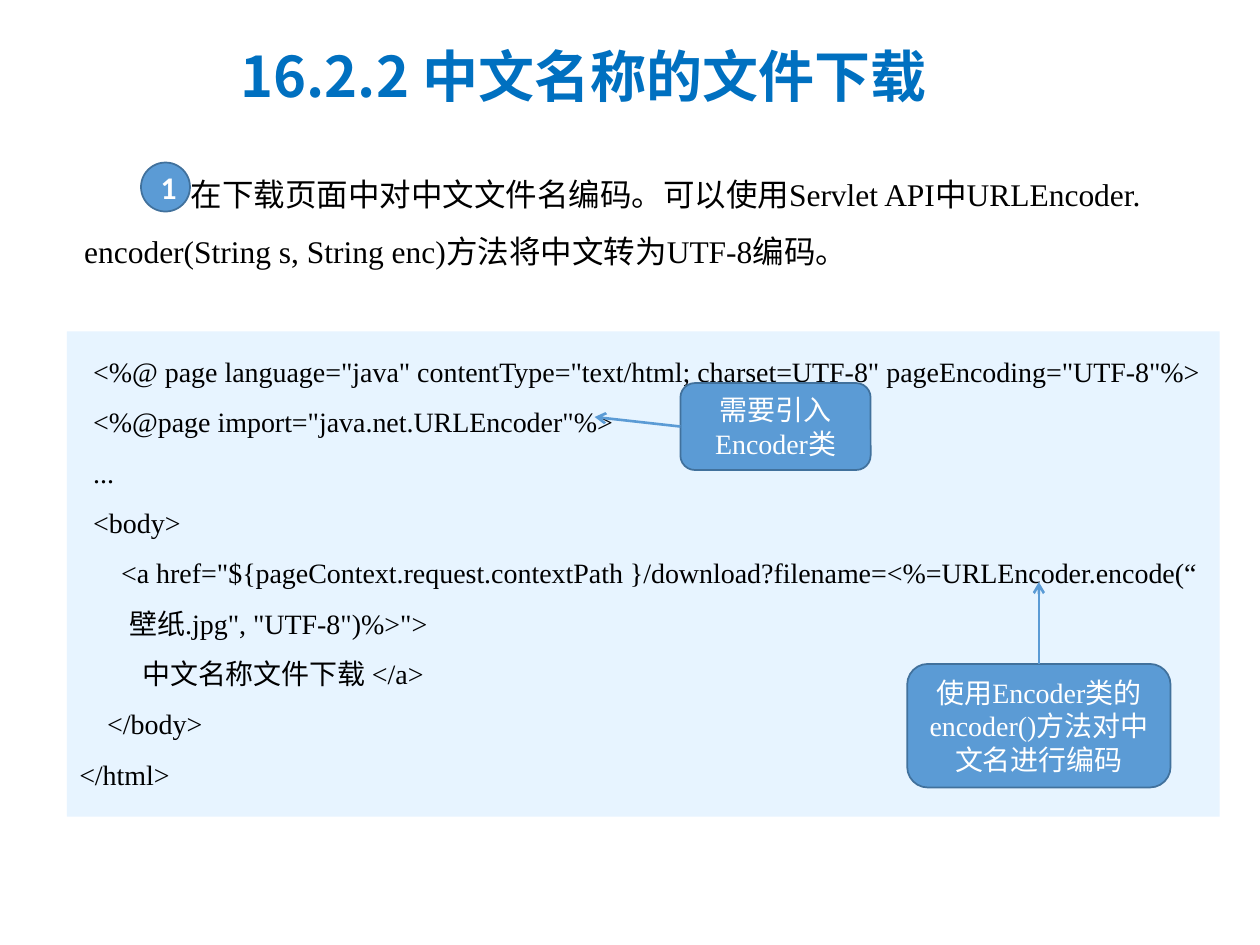
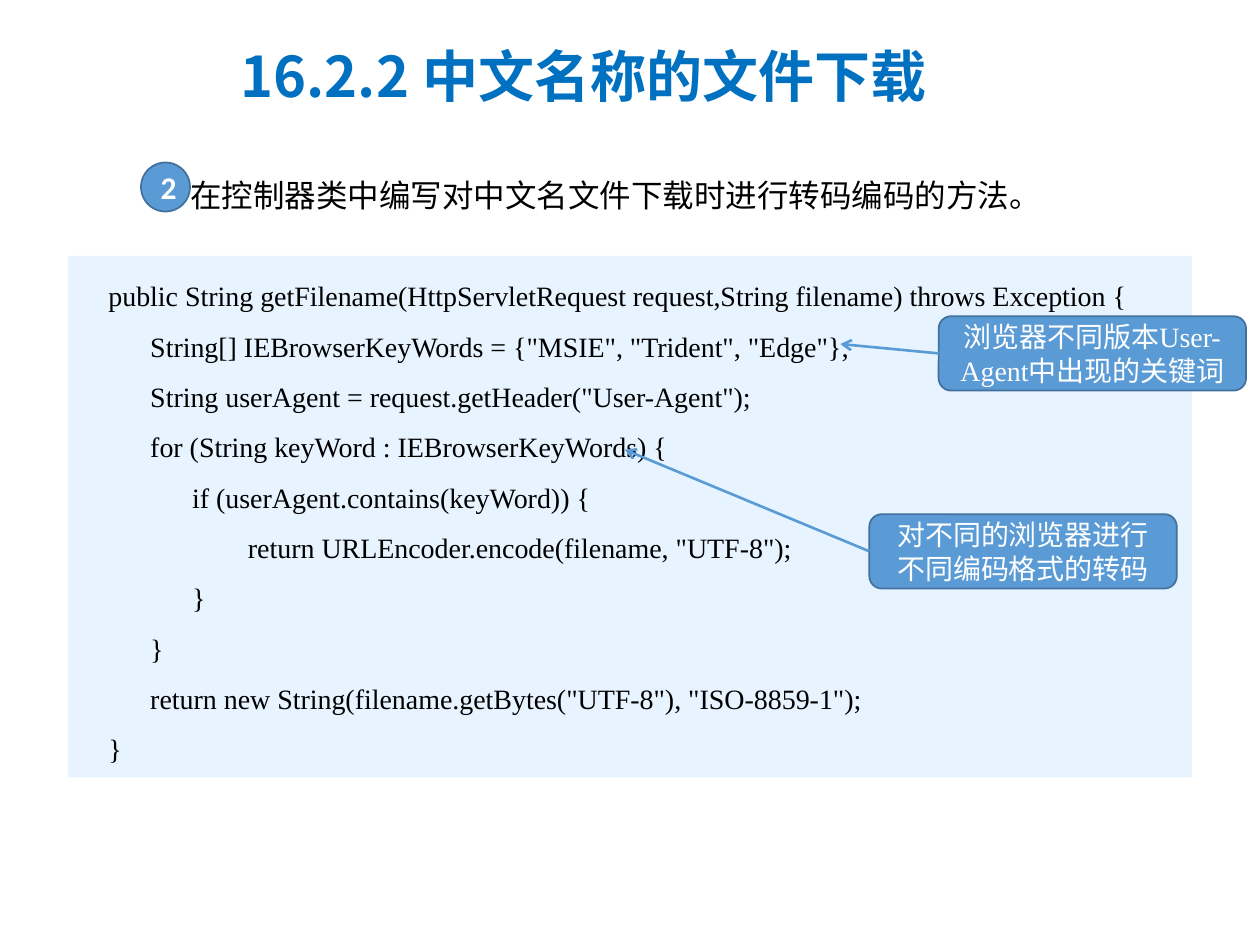
from lxml import etree
from pptx import Presentation
from pptx.dml.color import RGBColor
from pptx.enum import shapes, text
from pptx.oxml import ns
from pptx.util import Pt

INK = RGBColor(0x00, 0x00, 0x00)
WHITE = RGBColor(0xFF, 0xFF, 0xFF)
TITLE = RGBColor(0x00, 0x70, 0xC0)
PALE = RGBColor(0xE7, 0xF4, 0xFF)
BLUE = RGBColor(0x5B, 0x9B, 0xD5)
EDGE = RGBColor(0x41, 0x71, 0x9C)
SERIF = "Times New Roman"
SANS = "Noto Sans CJK SC"
KIND = shapes.MSO_SHAPE
ALIGN = text.PP_ALIGN
LEFT, TOP = 0, 1
INSET = 7.2
LEAD = 109

PAGE = '''  <%@ page language="java" contentType="text/html; charset=UTF-8" pageEncoding="UTF-8"%>
  <%@page import="java.net.URLEncoder"%>
  ...
  <body>
      <a href="${pageContext.request.contextPath }/download?filename=<%=URLEncoder.encode(“
        壁纸.jpg", "UTF-8")%>">
\t中文名称文件下载 </a>
    </body>
</html>'''

METHOD = '''    public String getFilename(HttpServletRequest request,String filename) throws Exception {
          String[] IEBrowserKeyWords = {"MSIE", "Trident", "Edge"};
          String userAgent = request.getHeader("User-Agent");
          for (String keyWord : IEBrowserKeyWords) {
                if (userAgent.contains(keyWord)) {
                        return URLEncoder.encode(filename, "UTF-8");
                }
          }
          return new String(filename.getBytes("UTF-8"), "ISO-8859-1");
    }'''


def write(shape, words, size=16, color=INK, face=SERIF, bold=False,
          align=ALIGN.LEFT, space=1.0, anchor=text.MSO_ANCHOR.TOP, indent=0):
    """Fill a shape with one paragraph per line of words."""
    frame = shape.text_frame
    frame.word_wrap = True
    frame.auto_size = text.MSO_AUTO_SIZE.NONE
    frame.vertical_anchor = anchor
    for at, line in enumerate(words.split("\n")):
        para = frame.paragraphs[0] if at == 0 else frame.add_paragraph()
        para.alignment = align
        para.line_spacing = space
        run = para.add_run()
        run.text = line
        font = run.font
        font.size, font.bold, font.name = Pt(size), bold, face
        font.color.rgb = color
        east = etree.SubElement(run._r.get_or_add_rPr(), ns.qn("a:ea"))
        east.set("typeface", SANS)
    if indent:
        props = frame.paragraphs[0]._p.get_or_add_pPr()
        props.set("marL", "0")
        props.set("indent", str(Pt(indent)))


def draw(slide, kind, box, fill, edge=None):
    """Add a flat preset shape."""
    shape = slide.shapes.add_shape(kind, *map(Pt, box))
    shape.shadow.inherit = False
    shape.fill.solid()
    shape.fill.fore_color.rgb = fill
    if edge is None:
        shape.line.fill.background()
    else:
        shape.line.color.rgb = edge
        shape.line.width = Pt(1)
    return shape


def start(deck):
    """Add a slide with the section title."""
    slide = deck.slides.add_slide(deck.slide_layouts[5])
    title = slide.shapes.title
    title.left, title.top, title.width, title.height = map(Pt, (130.3, 24.5, 442.8, 61.2))
    write(title, "16.2.2 中文名称的文件下载", size=32, color=TITLE, face=SANS,
          bold=True, space=0.9)
    return slide


def step(slide, mark, words, box):
    """Add a numbered step whose first line starts beside its badge."""
    area = slide.shapes.add_textbox(*map(Pt, box))
    write(area, words, size=18, space=1.5, indent=LEAD - INSET - box[0])
    badge = draw(slide, KIND.FLOWCHART_CONNECTOR, (80.6, 92.9, 28, 28), BLUE, EDGE)
    write(badge, mark, size=18, color=WHITE, face="Calibri", bold=True,
          align=ALIGN.CENTER, anchor=text.MSO_ANCHOR.MIDDLE)


def code(slide, words, box):
    """Add a pale panel of code."""
    write(draw(slide, KIND.RECTANGLE, box, PALE), words, space=1.5)


def note(slide, words, box, tip, side=LEFT):
    """Add a callout with an arrow from one side to a tip."""
    card = draw(slide, KIND.ROUNDED_RECTANGLE, box, BLUE, EDGE)
    write(card, words, color=WHITE, align=ALIGN.CENTER, anchor=text.MSO_ANCHOR.MIDDLE)
    x, y, wide, high = box
    root = (x, y + high / 2) if side == LEFT else (x + wide / 2, y)
    arrow = slide.shapes.add_connector(shapes.MSO_CONNECTOR.STRAIGHT, *map(Pt, root + tip))
    arrow.line.color.rgb = BLUE
    arrow.line.width = Pt(1.5)
    end = etree.SubElement(arrow.line._get_or_add_ln(), ns.qn("a:tailEnd"))
    end.set("type", "arrow")
    etree.SubElement(arrow._element.spPr, ns.qn("a:effectLst"))


def main():
    """Build and save both slides."""
    deck = Presentation()
    deck.slide_width, deck.slide_height = Pt(720), Pt(540)

    slide = start(deck)
    code(slide, PAGE, (38.2, 189.4, 658.8, 277.2))
    note(slide, "需要引入Encoder类", (388.8, 218.9, 108.7, 49.7), (339.8, 238.3))
    note(slide, "使用Encoder类的encoder()方法对中文名进行编码",
         (518.4, 379.4, 150.5, 70.6), (593.65, 332.6), side=TOP)
    step(slide, "1", "在下载页面中对中文文件名编码。可以使用Servlet API中URLEncoder.\n"
         "encoder(String s, String enc)方法将中文转为UTF-8编码。", (41, 85.7, 637.2, 104.4))

    slide = start(deck)
    code(slide, METHOD, (38.9, 146.2, 642.2, 298))
    note(slide, "浏览器不同版本User-Agent中出现的关键词",
         (536.4, 180.7, 175.7, 42.5), (480.2, 196.6))
    note(slide, "对不同的浏览器进行不同编码格式的转码",
         (496.8, 293.8, 175.7, 42.5), (357.1, 257))
    step(slide, "2", "在控制器类中编写对中文名文件下载时进行转码编码的方法。",
         (54, 86.4, 621.4, 39.6))

    deck.save("out.pptx")


if __name__ == "__main__":
    main()
